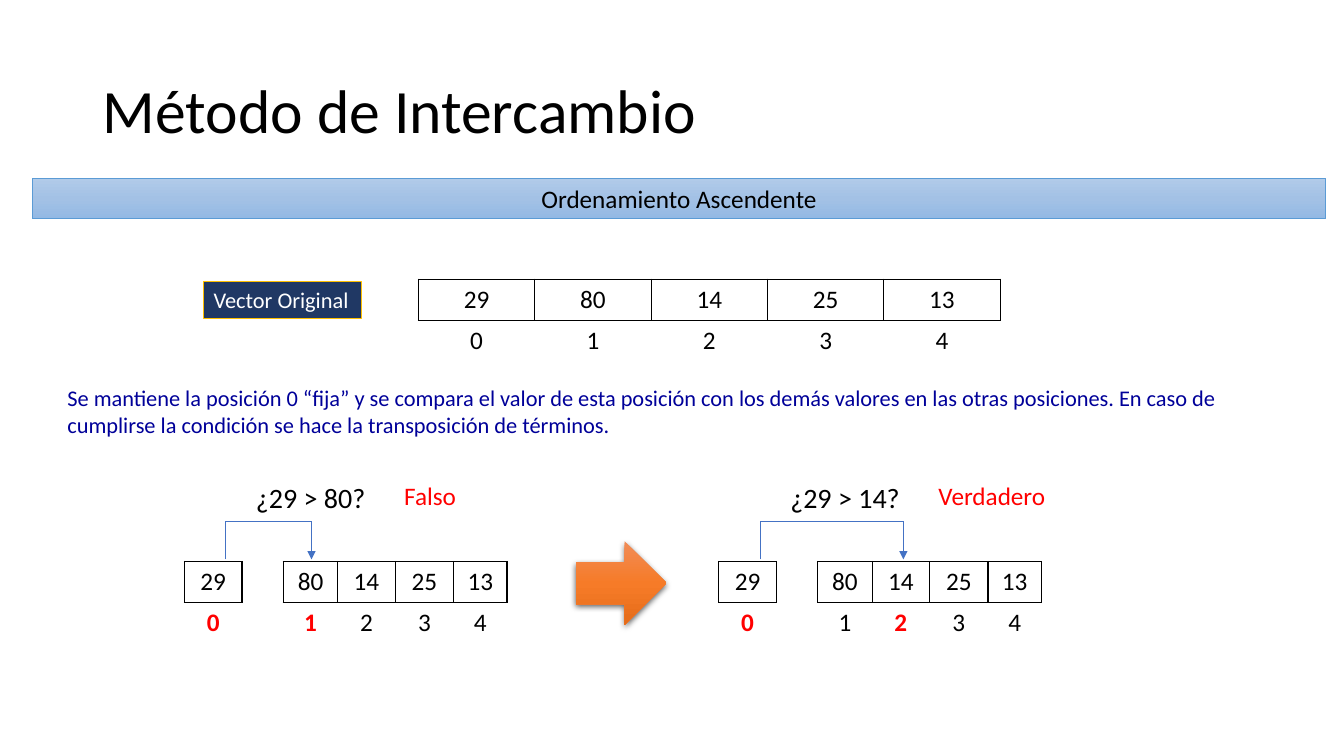
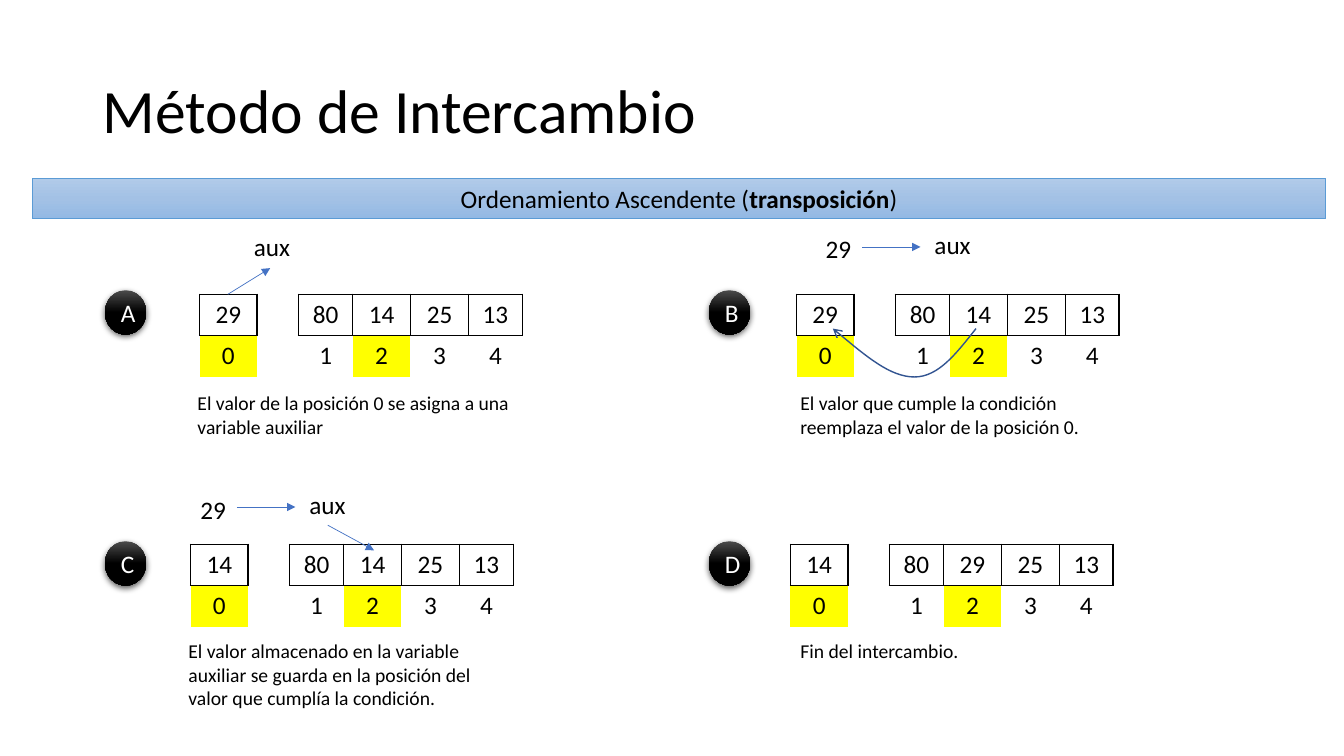
from copy import deepcopy
from dataclasses import dataclass

from lxml import etree
from pptx import Presentation
from pptx import util as u
from pptx.dml.color import RGBColor
from pptx.enum import shapes, text
from pptx.oxml import ns


@dataclass(frozen=True)
class Theme:
    font: str = "Calibri"
    black: str = "000000"
    white: str = "FFFFFF"
    red: str = "FF0000"
    navy: str = "203864"
    gold: str = "FFC000"
    note: str = "000099"
    connector: str = "4472C4"
    curve: str = "325491"
    band_line: str = "5B9BD5"
    highlight: str = "FFFF00"
    band: tuple = ((0, "B1CBE9"), (0.5, "A3C1E5"), (1, "93B9E4"))
    arrow: tuple = ((0, "F18C57"), (0.5, "F67B28"), (1, "E56C19"))
    badge: tuple = ((0, "4B4B4B"), (0.5, "000000"), (1, "000000"))
    title_size: int = 44
    question_size: int = 20
    text_size: int = 18
    note_size: int = 16
    caption_size: int = 14


THEME = Theme()
ROW_HEIGHT = 0.41
FIXED_WIDTH = 0.57
VECTOR_OFFSET = 0.98
VECTOR_WIDTHS = (0.54, 0.57, 0.58, 0.53)


def rgb(color):
    return RGBColor.from_string(color)


def inches(*lengths):
    return [u.Inches(length) for length in lengths]


def format_runs(paragraph, size, color=THEME.black, bold=False):
    for run in paragraph.runs:
        run.font.name = THEME.font
        run.font.size = u.Pt(size)
        run.font.color.rgb = rgb(color)
        run.font.bold = bold


def add_title(slide):
    title = slide.shapes.title
    title.text_frame.text = "Método de Intercambio"
    title.text_frame.vertical_anchor = text.MSO_ANCHOR.MIDDLE
    paragraph = title.text_frame.paragraphs[0]
    paragraph.alignment = text.PP_ALIGN.LEFT
    paragraph.line_spacing = 0.9
    format_runs(paragraph, THEME.title_size)


def add_text(slide, content, left, top, width, height,
             size=THEME.text_size, color=THEME.black, wrap=False):
    box = slide.shapes.add_textbox(*inches(left, top, width, height))
    frame = box.text_frame
    frame.word_wrap = wrap
    frame.auto_size = text.MSO_AUTO_SIZE.SHAPE_TO_FIT_TEXT
    frame.text = content
    format_runs(frame.paragraphs[0], size, color)


def add_shape(slide, kind, left, top, width, height):
    shape = slide.shapes.add_shape(kind, *inches(left, top, width, height))
    shape.shadow.inherit = False
    shape.line.fill.background()
    return shape


def set_line(line, color, width=0.5):
    line.color.rgb = rgb(color)
    line.width = u.Pt(width)


def set_gradient(shape, stops):
    shape.fill.gradient()
    shape.fill.gradient_angle = 270
    stop_list = shape.element.spPr.find(".//" + ns.qn("a:gsLst"))
    while len(stop_list) < len(stops):
        stop_list.append(deepcopy(stop_list[0]))
    for stop, (position, color) in zip(shape.fill.gradient_stops, stops):
        stop.position = position
        stop.color.rgb = rgb(color)


def add_shadow(shape):
    effects = shape.element.spPr.find(ns.qn("a:effectLst"))
    shadow = etree.SubElement(
        effects, ns.qn("a:outerShdw"), blurRad=str(u.Pt(4.5)),
        dist=str(u.Pt(1.5)), dir="5400000", rotWithShape="0")
    color = etree.SubElement(shadow, ns.qn("a:srgbClr"), val=THEME.black)
    etree.SubElement(color, ns.qn("a:alpha"), val="63000")


def add_arrowhead(shape, kind):
    etree.SubElement(shape.line._get_or_add_ln(), ns.qn("a:tailEnd"), type=kind)


def add_line(slide, start, end, arrow=True):
    connector = slide.shapes.add_connector(
        shapes.MSO_CONNECTOR.STRAIGHT, *inches(*start, *end))
    set_line(connector.line, THEME.connector)
    if arrow:
        add_arrowhead(connector, "triangle")
    etree.SubElement(connector.element.spPr, ns.qn("a:effectLst"))


def add_curve(slide, points):
    start, *others = [inches(*point) for point in points]
    builder = slide.shapes.build_freeform(*start)
    builder.add_line_segments(others, close=False)
    curve = builder.convert_to_shape()
    curve.shadow.inherit = False
    curve.fill.background()
    set_line(curve.line, THEME.curve, 1)
    add_arrowhead(curve, "arrow")
    segments = list(curve.element.iter(ns.qn("a:lnTo")))
    outline = segments[0].getparent()
    for first in range(0, len(segments), 3):
        bezier = etree.SubElement(outline, ns.qn("a:cubicBezTo"))
        for segment in segments[first:first + 3]:
            bezier.append(segment[0])
            outline.remove(segment)


def add_band(slide, *parts):
    band = add_shape(slide, shapes.MSO_SHAPE.RECTANGLE, 0.32, 1.77, 12.83, 0.4)
    set_gradient(band, THEME.band)
    set_line(band.line, THEME.band_line)
    band.text_frame.vertical_anchor = text.MSO_ANCHOR.TOP
    paragraph = band.text_frame.paragraphs[0]
    paragraph.alignment = text.PP_ALIGN.CENTER
    for part in parts:
        paragraph.add_run().text = part
    format_runs(paragraph, THEME.text_size)
    return paragraph


def set_borders(cell, sides):
    properties = cell._tc.get_or_add_tcPr()
    for index, side in enumerate("LRTB"):
        border = etree.Element(ns.qn(f"a:ln{side}"), w=str(u.Pt(1)))
        if side in sides:
            fill = etree.SubElement(border, ns.qn("a:solidFill"))
            etree.SubElement(fill, ns.qn("a:srgbClr"), val=THEME.black)
        else:
            etree.SubElement(border, ns.qn("a:noFill"))
        properties.insert(index, border)


def add_cell(cell, value, color=THEME.black, bold=False, fill=None, sides="T"):
    cell.text_frame.text = str(value)
    paragraph = cell.text_frame.paragraphs[0]
    paragraph.alignment = text.PP_ALIGN.CENTER
    format_runs(paragraph, THEME.text_size, color, bold)
    if fill:
        cell.fill.solid()
        cell.fill.fore_color.rgb = rgb(fill)
    else:
        cell.fill.background()
    set_borders(cell, sides)


def add_vector(slide, left, top, widths, values, first=0, marked=(), mark=None):
    frame = slide.shapes.add_table(
        2, len(values), *inches(left, top, sum(widths), 2 * ROW_HEIGHT))
    table = frame.table
    table.first_row = table.horz_banding = False
    for row in table.rows:
        row.height = u.Inches(ROW_HEIGHT)
    for column, (width, value) in enumerate(zip(widths, values)):
        table.columns[column].width = u.Inches(width)
        position = first + column
        add_cell(table.cell(0, column), value, sides="LRTB")
        style = mark if position in marked else {}
        add_cell(table.cell(1, column), position, **style)


def add_split_vector(slide, left, top, values, target, mark):
    marks = {"marked": (0, target), "mark": mark}
    add_vector(slide, left, top, (FIXED_WIDTH,), values[:1], **marks)
    add_vector(slide, left + VECTOR_OFFSET, top, VECTOR_WIDTHS, values[1:],
               first=1, **marks)


def add_comparison(slide, left, values, target, verdict, verdict_width):
    add_split_vector(slide, left, 5.57, values, target,
                     {"color": THEME.red, "bold": True})
    add_text(slide, f"¿{values[0]} > {values[target]}?", left + 0.61, 4.72,
             1.3, 0.44, THEME.question_size)
    add_text(slide, verdict, left + 2.08, 4.72, verdict_width, 0.4,
             color=THEME.red)
    source_x = left + 0.41
    target_x = left + 1.26 + FIXED_WIDTH * (target - 1)
    add_line(slide, (source_x, 5.55), (source_x, 5.17), arrow=False)
    add_line(slide, (source_x, 5.17), (target_x, 5.17), arrow=False)
    add_line(slide, (target_x, 5.17), (target_x, 5.55))


def add_assignment(slide, left, top):
    add_text(slide, "29", left, top, 0.46, 0.4)
    add_line(slide, (left + 0.46, top + 0.18), (left + 1.04, top + 0.18))
    add_text(slide, "aux", left + 1.08, top - 0.04, 0.56, 0.4)


def add_badge(slide, letter, left, top):
    badge = add_shape(slide, shapes.MSO_SHAPE.OVAL, left, top, 0.41, 0.44)
    set_gradient(badge, THEME.badge)
    add_shadow(badge)
    badge.text_frame.text = letter
    badge.text_frame.vertical_anchor = text.MSO_ANCHOR.MIDDLE
    paragraph = badge.text_frame.paragraphs[0]
    paragraph.alignment = text.PP_ALIGN.CENTER
    format_runs(paragraph, THEME.text_size, THEME.white)


def add_vector_label(slide):
    label = add_shape(slide, shapes.MSO_SHAPE.RECTANGLE, 2.02, 2.79, 1.56, 0.37)
    label.fill.solid()
    label.fill.fore_color.rgb = rgb(THEME.navy)
    set_line(label.line, THEME.gold)
    label.text_frame.text = "Vector Original"
    label.text_frame.word_wrap = False
    label.text_frame.vertical_anchor = text.MSO_ANCHOR.TOP
    paragraph = label.text_frame.paragraphs[0]
    paragraph.alignment = text.PP_ALIGN.LEFT
    format_runs(paragraph, THEME.note_size, THEME.white)


def build_comparison_slide(slide):
    values = (29, 80, 14, 25, 13)
    add_title(slide)
    add_band(slide, "Ordenamiento Ascendente")
    add_vector_label(slide)
    add_vector(slide, 4.15, 2.77, (1.154,) * 5, values)
    add_text(
        slide,
        "Se mantiene la posición 0 “fija” y se compara el valor de esta "
        "posición con los demás valores en las otras posiciones. En caso de "
        "cumplirse la condición se hace la transposición de términos.",
        0.57, 3.76, 12.2, 0.64, THEME.note_size, THEME.note, wrap=True)
    add_comparison(slide, 1.83, values, 1, "Falso", 0.72)
    add_comparison(slide, 7.13, values, 2, "Verdadero", 1.27)
    arrow = add_shape(slide, shapes.MSO_SHAPE.RIGHT_ARROW, 5.71, 5.37, 0.9, 0.83)
    set_gradient(arrow, THEME.arrow)
    add_shadow(arrow)


def build_swap_slide(slide):
    add_title(slide)
    band = add_band(slide, "Ordenamiento Ascendente (", "transposición", ")")
    band.runs[1].font.bold = True
    stages = (
        ("A", 1.98, (29, 80, 14, 25, 13), 1.86, 3.32,
         "El valor de la posición 0 se asigna a una variable auxiliar"),
        ("B", 7.9, (29, 80, 14, 25, 13), 7.84, 3.26,
         "El valor que cumple la condición reemplaza el valor de la posición 0."),
        ("C", 1.89, (14, 80, 14, 25, 13), 1.77, 3.32,
         "El valor almacenado en la variable auxiliar se guarda en la posición "
         "del valor que cumplía la condición."),
        ("D", 7.84, (14, 80, 29, 25, 13), 7.84, 3.26, "Fin del intercambio."),
    )
    rows = ((2.88, 2.92, 3.83, 0.57), (5.37, 5.4, 6.29, 0.81))
    for index, (letter, left, values, caption_left, width, caption) in enumerate(stages):
        badge_top, vector_top, caption_top, height = rows[index // 2]
        add_badge(slide, letter, (1.04, 7.03)[index % 2], badge_top)
        add_split_vector(slide, left, vector_top, values, 2,
                         {"fill": THEME.highlight})
        add_text(slide, caption, caption_left, caption_top, width, height,
                 THEME.caption_size, wrap=True)
    add_text(slide, "aux", 2.42, 2.25, 0.56, 0.4)
    add_line(slide, (2.26, 2.92), (2.68, 2.66))
    add_assignment(slide, 8.09, 2.27)
    add_curve(slide, ((9.68, 3.26), (9.49, 3.5), (9.31, 3.74), (9.07, 3.74),
                      (8.83, 3.74), (8.55, 3.5), (8.26, 3.26)))
    add_assignment(slide, 1.89, 4.85)
    add_line(slide, (3.25, 5.21), (3.71, 5.46))


def main():
    presentation = Presentation()
    presentation.slide_width, presentation.slide_height = inches(13.33, 7.5)
    layout = presentation.slide_layouts[5]
    title = layout.placeholders[0]
    title.left, title.top, title.width, title.height = inches(0.92, 0.4, 11.5, 1.45)
    for build in (build_comparison_slide, build_swap_slide):
        build(presentation.slides.add_slide(layout))
    presentation.save("out.pptx")


if __name__ == "__main__":
    main()
